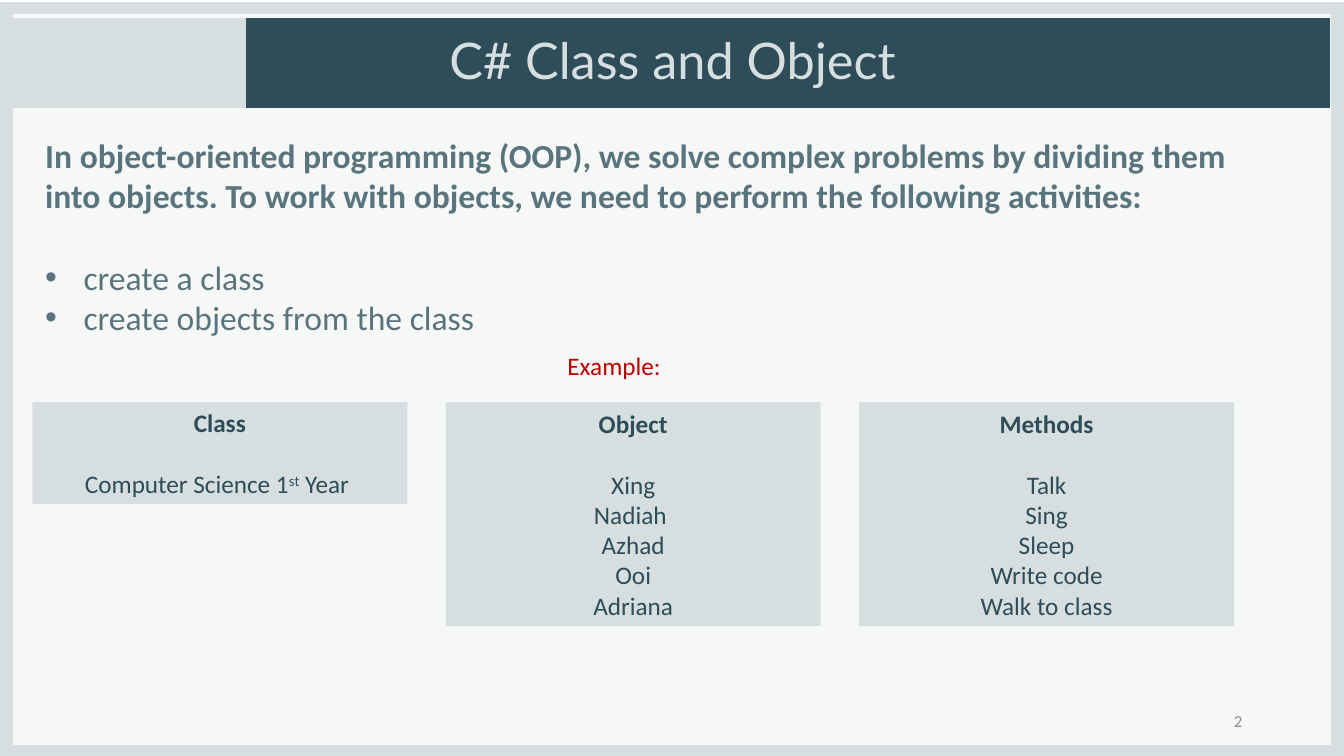
from dataclasses import dataclass

from lxml.etree import SubElement
from pptx import Presentation
from pptx.dml.color import RGBColor
from pptx.enum.shapes import MSO_SHAPE as Preset
from pptx.enum.text import MSO_ANCHOR as Anchor, PP_ALIGN as Align
from pptx.oxml.ns import qn
from pptx.shapes.autoshape import Shape
from pptx.slide import Slide
from pptx.text.text import TextFrame, _Paragraph as Paragraph
from pptx.util import Inches, Pt


@dataclass(frozen=True)
class Theme:
    dark: str = "2E4D59"
    pale: str = "D6DEE0"
    paper: str = "F6F8F8"
    slate: str = "5A747D"
    red: str = "C00000"
    grey: str = "8C8C8C"
    title_font: str = "Lato"
    body_font: str = "Calibri"
    title_size: int = 36
    intro_size: int = 24
    card_size: int = 18
    number_size: int = 12
    line_height: float = 1.22


@dataclass(frozen=True)
class Box:
    left: float
    top: float
    width: float
    height: float

    def emu(self) -> tuple:
        return tuple(Inches(n) for n in (self.left, self.top, self.width, self.height))


@dataclass(frozen=True)
class Panel:
    box: Box
    color: str
    preset: Preset = Preset.RECTANGLE


@dataclass(frozen=True)
class Card:
    heading: str
    lines: tuple[str, ...]
    height: float


THEME = Theme()

PANELS = (
    Panel(Box(0, 0.02, 13.33, 7.48), THEME.pale),
    Panel(Box(0.13, 0.14, 13.07, 7.25), THEME.paper),
    Panel(Box(0.13, 0.18, 13.06, 0.89), THEME.dark, Preset.ROUNDED_RECTANGLE),
    Panel(Box(0.11, 0.18, 2.33, 0.89), THEME.pale, Preset.ROUNDED_RECTANGLE),
)

INTRO = (
    "In object-oriented programming (OOP), we solve complex problems by dividing "
    "them into objects. To work with objects, we need to perform the following activities:"
)
ACTIVITIES = ("create a class", "create objects from the class")

# A caret pair encloses superscript text
CARDS = (
    Card("Class", ("Computer Science 1^st^ Year ",), 1.01),
    Card("Object", ("Xing", "Nadiah ", "Azhad", "Ooi", "Adriana"), 2.22),
    Card("Methods", ("Talk", "Sing", "Sleep", "Write code", "Walk to class"), 2.22),
)
CARD_LEFT, CARD_TOP, CARD_WIDTH, CARD_PITCH = 0.32, 3.99, 3.72, 4.1


def style(paragraph: Paragraph, size: int, color: str, bold: bool = False,
          font: str = THEME.body_font, align: Align = Align.LEFT) -> None:
    paragraph.alignment = align
    for run in paragraph.runs:
        run.font.name = font
        run.font.size = Pt(size)
        run.font.bold = bold
        run.font.color.rgb = RGBColor.from_string(color)


def add_panel(slide: Slide, panel: Panel) -> Shape:
    shape = slide.shapes.add_shape(panel.preset, *panel.box.emu())
    if panel.preset == Preset.ROUNDED_RECTANGLE:
        shape.adjustments[0] = 0
    shape.shadow.inherit = False
    shape.fill.solid()
    shape.fill.fore_color.rgb = RGBColor.from_string(panel.color)
    shape.line.fill.background()
    return shape


def add_text(slide: Slide, box: Box, text: str) -> TextFrame:
    frame = slide.shapes.add_textbox(*box.emu()).text_frame
    frame.word_wrap = True
    frame.text = text
    return frame


def add_bullet(paragraph: Paragraph) -> None:
    properties = paragraph._p.get_or_add_pPr()
    properties.set("marL", str(Inches(0.38)))
    properties.set("indent", str(-Inches(0.38)))
    SubElement(properties, qn("a:buFont"), typeface="Arial")
    SubElement(properties, qn("a:buChar"), char="•")


def add_card(slide: Slide, card: Card, left: float) -> None:
    box = Box(left, CARD_TOP, CARD_WIDTH, card.height)
    frame = add_panel(slide, Panel(box, THEME.pale)).text_frame
    frame.word_wrap = True
    frame.vertical_anchor = Anchor.MIDDLE
    frame.text = card.heading
    heading = frame.paragraphs[0]
    style(heading, THEME.card_size, THEME.dark, bold=True, align=Align.CENTER)
    heading.space_after = Pt(THEME.card_size * THEME.line_height)
    for line in card.lines:
        entry = frame.add_paragraph()
        for position, part in enumerate(line.split("^")):
            run = entry.add_run()
            run.text = part
            if position % 2:
                run.font._element.set("baseline", "30000")
        style(entry, THEME.card_size, THEME.dark, align=Align.CENTER)


def main() -> None:
    deck = Presentation()
    deck.slide_width, deck.slide_height = Inches(13.33), Inches(7.5)
    slide = deck.slides.add_slide(deck.slide_layouts[6])

    # Frame and header band
    for panel in PANELS:
        add_panel(slide, panel)

    # Title
    title = add_text(slide, Box(2.18, 0.25, 8.98, 0.76), "C# Class and Object")
    title.vertical_anchor = Anchor.MIDDLE
    title.margin_left = title.margin_right = Inches(0.13)
    title.margin_top = title.margin_bottom = Inches(0.13)
    title.paragraphs[0].line_spacing = 0.9
    style(title.paragraphs[0], THEME.title_size, THEME.pale,
          font=THEME.title_font, align=Align.CENTER)

    # Slide number
    number = add_text(slide, Box(9.42, 6.95, 3, 0.4), "2")
    number.vertical_anchor = Anchor.MIDDLE
    style(number.paragraphs[0], THEME.number_size, THEME.grey, align=Align.RIGHT)

    # Introduction and activities
    intro = add_text(slide, Box(0.35, 1.29, 12.45, 2.12), INTRO)
    style(intro.paragraphs[0], THEME.intro_size, THEME.slate, bold=True)
    intro.paragraphs[0].space_after = Pt(THEME.intro_size * THEME.line_height)
    for activity in ACTIVITIES:
        bullet = intro.add_paragraph()
        bullet.text = activity
        style(bullet, THEME.intro_size, THEME.slate)
        add_bullet(bullet)

    # Example cards
    example = add_text(slide, Box(5.53, 3.43, 1.2, 0.4), "Example:")
    style(example.paragraphs[0], THEME.card_size, THEME.red)
    for column, card in enumerate(CARDS):
        add_card(slide, card, CARD_LEFT + column * CARD_PITCH)

    deck.save("out.pptx")


if __name__ == "__main__":
    main()
